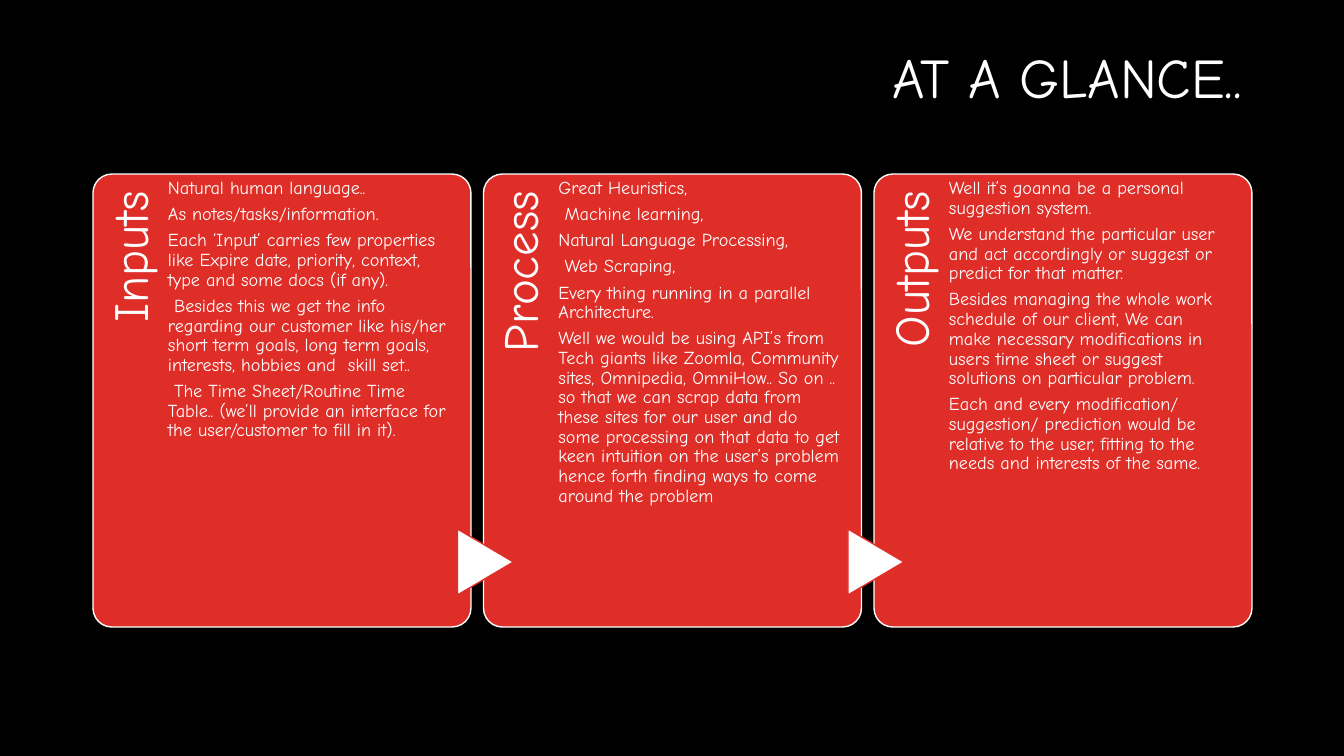
import pptx
import pptx.dml.color
import pptx.enum.shapes
import pptx.enum.text
import pptx.util

HEADLINE = "AT A GLANCE.."
STAGES = [
    ("Inputs", [
        "Natural human language..",
        "As notes/tasks/information.",
        "Each ‘Input’ carries few properties like Expire date, priority, context, "
        "type and some docs (if any).",
        " Besides this we get the info regarding our customer like his/her short term "
        "goals, long term goals, interests, hobbies and  skill set..",
        " The Time Sheet/Routine Time Table.. (we’ll provide an interface for the "
        "user/customer to fill in it).",
    ]),
    ("Process", [
        "Great Heuristics,",
        " Machine learning,",
        "Natural Language Processing,",
        " Web Scraping,",
        "Every thing running in a parallel Architecture.",
        "Well we would be using API’s from Tech giants like Zoomla, Community sites, "
        "Omnipedia, OmniHow.. So on .. so that we can scrap data from these sites for "
        "our user and do some processing on that data to get keen intuition on the "
        "user’s problem hence forth finding ways to come around the problem",
    ]),
    ("Outputs", [
        "Well it’s goanna be a personal suggestion system.",
        "We understand the particular user and act accordingly or suggest or predict "
        "for that matter.",
        "Besides managing the whole work schedule of our client, We can make necessary "
        "modifications in users time sheet or suggest solutions on particular problem.",
        "Each and every modification/ suggestion/ prediction would be relative to the "
        "user, fitting to the needs and interests of the same.",
    ]),
]

THEME = {
    "font": "Comic Neue",
    "background": "000000",
    "card": "DF2E28",
    "light": "FFFFFF",
    "headline_pt": 40,
    "label_pt": 35,
    "body_pt": 13,
    "line_pt": 1,
    "line_spacing": 0.9,
    "space_after": 0.35,
}

EMU_PER_PX = 914400 / 100.8
SLIDE_W, SLIDE_H = 1344, 756
ROW_LEFT, ROW_TOP, ROW_W = 93, 174, 1159
CARD_W, CARD_H = 378, 453
PITCH = (ROW_W - CARD_W) / (len(STAGES) - 1)
LABEL_LENGTH, LABEL_BAND = 372, 76
BODY_W = 281
ARROW_W, ARROW_H = 66, 56
ARROW_SHIFT, ARROW_MIDDLE = 2, 562

SHAPES = pptx.enum.shapes.MSO_SHAPE
ALIGN = pptx.enum.text.PP_ALIGN


def px(length):
    return pptx.util.Emu(round(length * EMU_PER_PX))


def box(left, top, width, height):
    return px(left), px(top), px(width), px(height)


def centred_box(middle_x, middle_y, width, height):
    return box(middle_x - width / 2, middle_y - height / 2, width, height)


def colour(name):
    return pptx.dml.color.RGBColor.from_string(THEME[name])


def add_text(slide, place, lines, size, align=ALIGN.LEFT, insets=None, gap=0):
    """Insets are left, top, right, bottom; gap is a share of the type size."""
    holder = slide.shapes.add_textbox(*place)
    frame = holder.text_frame
    frame.word_wrap = True
    if insets:
        (frame.margin_left, frame.margin_top,
         frame.margin_right, frame.margin_bottom) = map(px, insets)
    frame.text = "\n".join(lines)
    for paragraph in frame.paragraphs:
        paragraph.alignment = align
        paragraph.line_spacing = THEME["line_spacing"]
        paragraph.space_after = pptx.util.Pt(size * gap)
        for run in paragraph.runs:
            run.font.name = THEME["font"]
            run.font.size = pptx.util.Pt(size)
            run.font.color.rgb = colour("light")
    return holder


def add_filled(slide, preset, place, fill, line):
    shape = slide.shapes.add_shape(preset, *place)
    shape.shadow.inherit = False
    shape.fill.solid()
    shape.fill.fore_color.rgb = colour(fill)
    shape.line.color.rgb = colour(line)
    shape.line.width = pptx.util.Pt(THEME["line_pt"])
    return shape


def add_stage(slide, index, label, lines):
    left = ROW_LEFT + index * PITCH
    card = add_filled(slide, SHAPES.ROUNDED_RECTANGLE,
                      box(left, ROW_TOP, CARD_W, CARD_H), "card", "light")
    card.adjustments[0] = 0.05

    label_place = centred_box(left + LABEL_BAND / 2, ROW_TOP + LABEL_LENGTH / 2,
                              LABEL_LENGTH, LABEL_BAND)
    side_label = add_text(slide, label_place, [label], THEME["label_pt"], ALIGN.RIGHT,
                          (0, 13, 17, 0), THEME["space_after"])
    side_label.rotation = 270

    if index:
        arrow_place = centred_box(left + ARROW_SHIFT, ARROW_MIDDLE, ARROW_W, ARROW_H)
        arrow = add_filled(slide, SHAPES.FLOWCHART_EXTRACT, arrow_place, "light", "card")
        arrow.rotation = 90

    add_text(slide, box(left + LABEL_BAND - 1, ROW_TOP, BODY_W, CARD_H), lines,
             THEME["body_pt"], insets=(0, 5, 0, 0), gap=THEME["space_after"])


def main():
    deck = pptx.Presentation()
    deck.slide_width, deck.slide_height = px(SLIDE_W), px(SLIDE_H)
    slide = deck.slides.add_slide(deck.slide_layouts[6])
    slide.background.fill.solid()
    slide.background.fill.fore_color.rgb = colour("background")

    headline = add_text(slide, box(ROW_LEFT, 40, ROW_W, 81), [HEADLINE],
                        THEME["headline_pt"], ALIGN.RIGHT)
    headline.text_frame.vertical_anchor = pptx.enum.text.MSO_ANCHOR.MIDDLE

    for index, (label, lines) in enumerate(STAGES):
        add_stage(slide, index, label, lines)
    deck.save("out.pptx")


if __name__ == "__main__":
    main()
